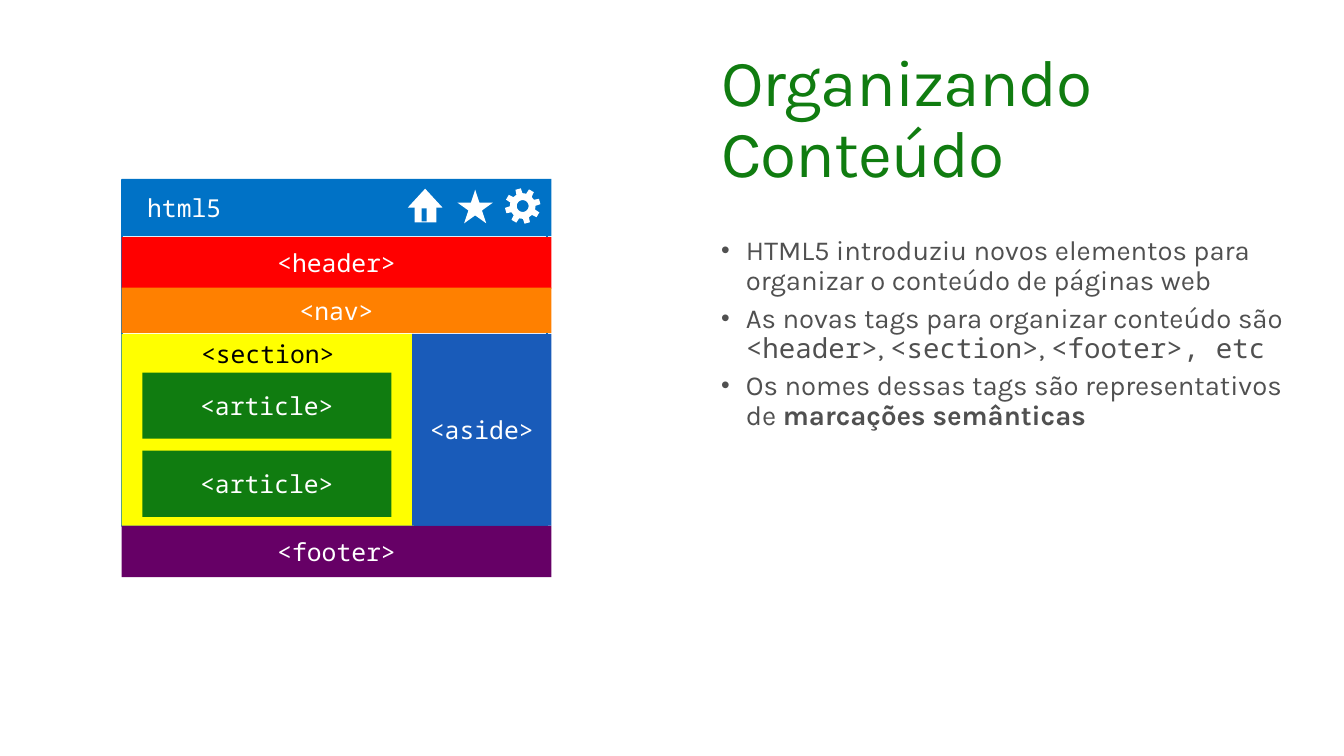
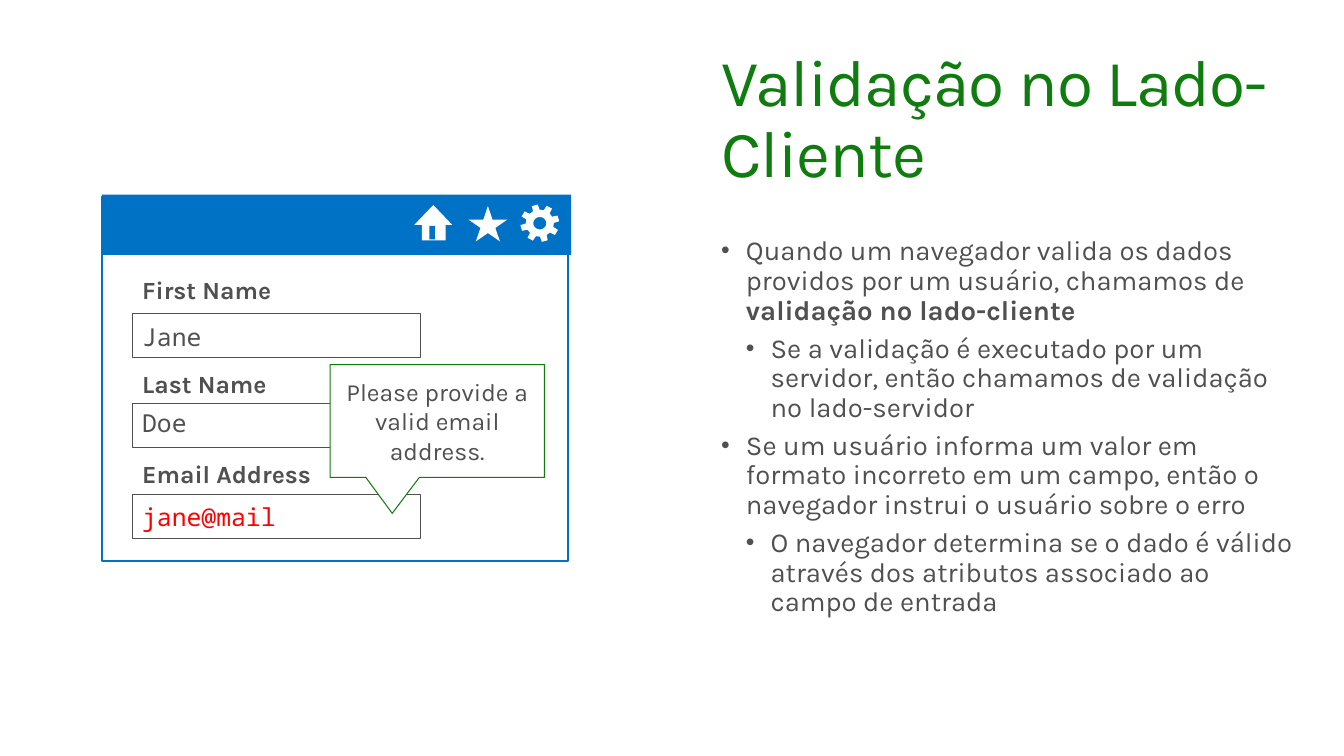
from math import cos, pi, sin

from lxml import etree
from pptx import Presentation
from pptx.dml.color import RGBColor
from pptx.enum.shapes import MSO_SHAPE
from pptx.enum.text import MSO_ANCHOR, PP_ALIGN
from pptx.oxml.ns import qn
from pptx.util import Inches, Pt

RECT = MSO_SHAPE.RECTANGLE
TRIANGLE = MSO_SHAPE.ISOSCELES_TRIANGLE
STAR = MSO_SHAPE.STAR_5_POINT
CALLOUT = MSO_SHAPE.RECTANGULAR_CALLOUT
LEFT, CENTER = PP_ALIGN.LEFT, PP_ALIGN.CENTER
TOP, MIDDLE = MSO_ANCHOR.TOP, MSO_ANCHOR.MIDDLE

WHITE = RGBColor(0xFF, 0xFF, 0xFF)
BLACK = RGBColor(0x00, 0x00, 0x00)
GRAY = RGBColor(0x50, 0x50, 0x50)
GREEN = RGBColor(0x10, 0x7C, 0x10)
BLUE = RGBColor(0x00, 0x72, 0xC6)
DEEP_BLUE = RGBColor(0x19, 0x5B, 0xB9)
RED = RGBColor(0xFF, 0x00, 0x00)
ORANGE = RGBColor(0xFF, 0x80, 0x00)
YELLOW = RGBColor(0xFF, 0xFF, 0x00)
PURPLE = RGBColor(0x66, 0x00, 0x66)

SANS, MONO = "Karla", "Noto Sans Mono"
TITLE = {"name": SANS, "size": Pt(48)}
BODY = {"name": SANS, "size": Pt(20)}
BODY_BOLD = {**BODY, "bold": True}
BODY_CODE = {**BODY, "name": MONO}
LABEL = {"name": SANS, "size": Pt(18)}
LABEL_BOLD = {**LABEL, "bold": True}
CODE = {"name": MONO, "size": Pt(18)}

TEXT_LEFT, TEXT_WIDTH = 7.2, 6
TITLE_ONLY = 5


def write_span(para, text, style, color):
    span = para.add_run()
    span.text = text
    for name, value in style.items():
        setattr(span.font, name, value)
    span.font.color.rgb = color
    return span


def set_frame(frame, inset, anchor):
    frame.word_wrap = True
    frame.vertical_anchor = anchor
    for side in ("left", "right"):
        setattr(frame, f"margin_{side}", Inches(0.1))
    for side in ("top", "bottom"):
        setattr(frame, f"margin_{side}", Inches(inset))


def add_page(deck, title):
    page = deck.slides.add_slide(deck.slide_layouts[TITLE_ONLY])
    box = page.shapes.title
    box.left, box.top = Inches(TEXT_LEFT), Inches(0.4)
    box.width, box.height = Inches(TEXT_WIDTH), Inches(1.7)
    set_frame(box.text_frame, 0.1, TOP)
    para = box.text_frame.paragraphs[0]
    para.alignment = LEFT
    para.line_spacing = 0.9
    span = write_span(para, title, TITLE, GREEN)
    span.font._element.set("spc", "-70")
    return page


def set_bullet(para, level):
    para.level = level
    props = para._p.get_or_add_pPr()
    props.set("marL", str(Inches(0.25 * (level + 1))))
    props.set("indent", str(Inches(-0.25)))
    for tag, name, value in (("a:buSzPct", "val", "90000"),
                             ("a:buFont", "typeface", "Arial"),
                             ("a:buChar", "char", "•")):
        etree.SubElement(props, qn(tag)).set(name, value)


def add_bullets(page, height, items):
    """Each item is a level and a list of (text, style) spans."""
    box = page.shapes.add_textbox(Inches(TEXT_LEFT), Inches(2.3),
                                  Inches(TEXT_WIDTH), Inches(height))
    frame = box.text_frame
    set_frame(frame, 0.1, TOP)
    for index, (level, spans) in enumerate(items):
        para = frame.add_paragraph() if index else frame.paragraphs[0]
        set_bullet(para, level)
        para.line_spacing = 0.9
        para.space_before = Pt(6 if index else 0)
        for text, style in spans:
            write_span(para, text, style, GRAY)


def paint(shape, fill, line=None, line_width=0.75):
    shape.shadow.inherit = False
    shape.fill.solid()
    shape.fill.fore_color.rgb = fill
    if line is None:
        shape.line.fill.background()
    else:
        shape.line.color.rgb = line
        shape.line.width = Pt(line_width)


def add_shape(page, kind, at, fill, **outline):
    shape = page.shapes.add_shape(kind, *map(Inches, at))
    paint(shape, fill, **outline)
    return shape


def add_caption(shape, text, style=CODE, color=WHITE, anchor=MIDDLE):
    set_frame(shape.text_frame, 0.05, anchor)
    para = shape.text_frame.paragraphs[0]
    para.alignment = CENTER
    write_span(para, text, style, color)


def add_label(page, at, text, style, color):
    box = page.shapes.add_textbox(*map(Inches, at))
    set_frame(box.text_frame, 0.05, TOP)
    write_span(box.text_frame.paragraphs[0], text, style, color)


def add_gear(page, center_x, center_y, scale_x, scale_y):
    def point(radius, degrees):
        angle = degrees * pi / 180
        return (Inches(center_x + scale_x * radius * cos(angle)),
                Inches(center_y + scale_y * radius * sin(angle)))

    tooth = ((0.13, -14), (0.18, -9), (0.18, 9), (0.13, 14))
    rim = [point(radius, 45 * step - 15 + offset)
           for step in range(8) for radius, offset in tooth]
    hole = [point(0.06, -15 * step) for step in range(24)]
    builder = page.shapes.build_freeform(*rim[0], scale=1.0)
    builder.add_line_segments(rim[1:], close=True)
    builder.move_to(*hole[0])
    builder.add_line_segments(hole[1:], close=True)
    paint(builder.convert_to_shape(), WHITE)


def add_toolbar(page, left, top, width, height):
    """Blue browser bar with home, star and gear icons that scale with it."""
    scale_x, scale_y = width / 4.34, height / 0.58
    for kind, (x, y, w, h), fill in (
            (RECT, (0, 0, 4.34, 0.58), BLUE),
            (RECT, (2.96, 0.26, 0.22, 0.18), WHITE),
            (TRIANGLE, (2.89, 0.1, 0.35, 0.19), WHITE),
            (RECT, (3.03, 0.3, 0.05, 0.13), BLUE),
            (STAR, (3.39, 0.11, 0.36, 0.34), WHITE)):
        add_shape(page, kind, (left + x * scale_x, top + y * scale_y,
                               w * scale_x, h * scale_y), fill)
    add_gear(page, left + 4.05 * scale_x, top + 0.275 * scale_y,
             scale_x, scale_y)


def add_page_structure(page):
    left, width = 1.23, 4.35
    add_shape(page, RECT, (left, 1.82, 4.31, 3.5), WHITE,
              line=BLUE, line_width=1.5)
    add_toolbar(page, left, 1.81, width, 0.58)
    add_label(page, (1.39, 1.9, 1.91, 0.41), "html5", CODE, WHITE)
    for tag, x, y, w, h, fill in (
            ("header", left, 2.4, width, 0.52, RED),
            ("nav", left, 2.91, width, 0.46, ORANGE),
            ("footer", left, 5.32, width, 0.52, PURPLE),
            ("section", left, 3.38, 2.96, 1.94, YELLOW),
            ("aside", 4.17, 3.38, 1.41, 1.94, DEEP_BLUE),
            ("article", 1.44, 3.77, 2.52, 0.67, GREEN),
            ("article", 1.44, 4.56, 2.52, 0.67, GREEN)):
        block = add_shape(page, RECT, (x, y, w, h), fill)
        if tag == "section":
            add_caption(block, f"<{tag}>", color=BLACK, anchor=TOP)
        else:
            add_caption(block, f"<{tag}>")


def add_form(page):
    left, width = 1.34, 2.92
    add_shape(page, RECT, (1.03, 1.99, 4.72, 3.69), WHITE,
              line=BLUE, line_width=1.5)
    add_toolbar(page, 1.03, 1.97, 4.75, 0.61)
    for label, label_top, field_top, value, value_top, color in (
            ("First Name", 2.73, 3.17, "Jane", 3.21, GRAY),
            ("Last Name", 3.68, 4.08, "Doe", 4.08, GRAY),
            ("Email Address", 4.59, 5, "jane@mail", 5.03, RED)):
        add_shape(page, RECT, (left, field_top, width, 0.45), WHITE, line=GRAY)
        add_label(page, (left, label_top, width, 0.4), label, LABEL_BOLD, GRAY)
        add_label(page, (left, value_top, width, 0.41), value, CODE, color)
    callout = add_shape(page, CALLOUT, (3.34, 3.69, 2.17, 1.14), WHITE,
                        line=GREEN)
    callout.adjustments[0] = -0.21
    callout.adjustments[1] = 0.82
    add_caption(callout, "Please provide a valid email address.", LABEL, GRAY)


def main():
    deck = Presentation()
    deck.slide_width, deck.slide_height = Inches(13.6), Inches(7.65)

    page = add_page(deck, "Organizando Conteúdo")
    add_bullets(page, 2.19, [
        (0, [("HTML5 introduziu novos elementos para organizar o conteúdo "
              "de páginas web", BODY)]),
        (0, [("As novas tags para organizar conteúdo são ", BODY),
             ("<header>", BODY_CODE), (", ", BODY),
             ("<section>", BODY_CODE), (", ", BODY),
             ("<footer>, etc", BODY_CODE)]),
        (0, [("Os nomes dessas tags são representativos de ", BODY),
             ("marcações semânticas", BODY_BOLD)]),
    ])
    add_page_structure(page)

    page = add_page(deck, "Validação no Lado-Cliente")
    add_bullets(page, 4.09, [
        (0, [("Quando um navegador valida os dados providos por um usuário, "
              "chamamos de ", BODY),
             ("validação no lado-cliente", BODY_BOLD)]),
        (1, [("Se a validação é executado por um servidor, então chamamos "
              "de validação no lado-servidor", BODY)]),
        (0, [("Se um usuário informa um valor em formato incorreto em um "
              "campo, então o navegador instrui o usuário sobre o erro",
              BODY)]),
        (1, [("O navegador determina se o dado é válido através dos "
              "atributos associado ao campo de entrada", BODY)]),
    ])
    add_form(page)

    deck.save("out.pptx")


if __name__ == "__main__":
    main()
